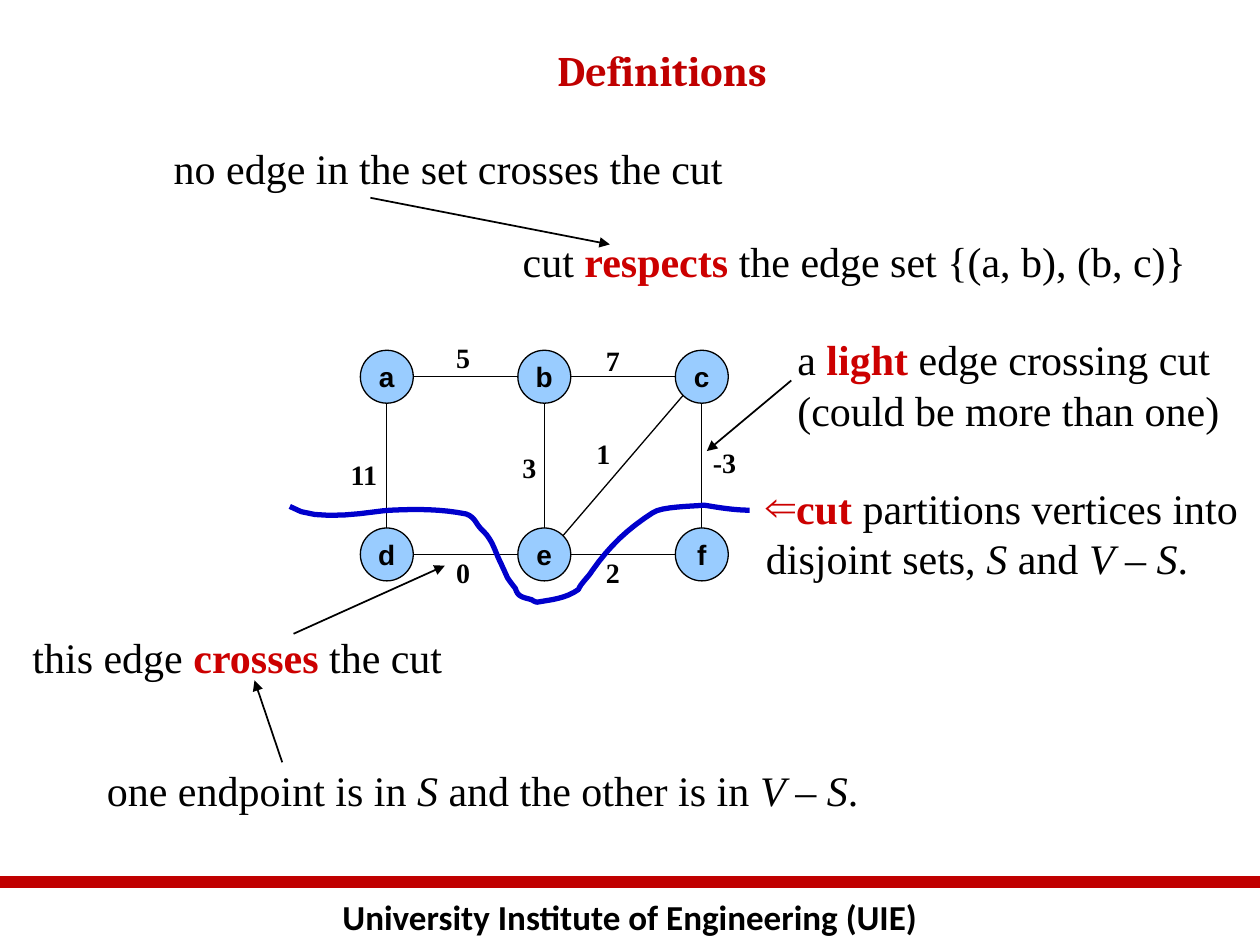
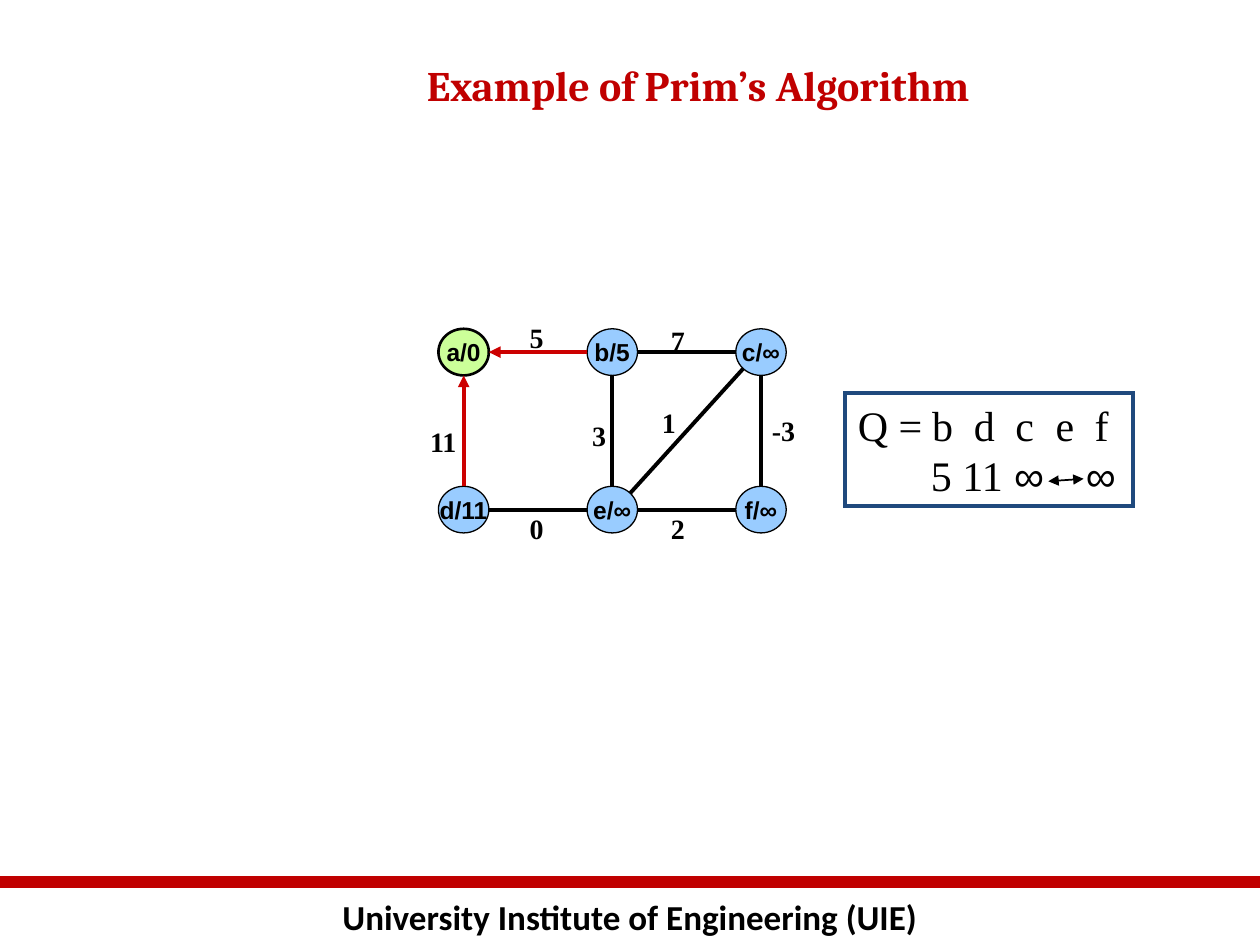
from itertools import chain
from math import hypot

from lxml.etree import SubElement
from pptx import Presentation
from pptx.dml.color import RGBColor
from pptx.enum.shapes import MSO_CONNECTOR as CONNECTOR, MSO_SHAPE as SHAPE
from pptx.enum.text import MSO_ANCHOR as ANCHOR, PP_ALIGN as ALIGN
from pptx.oxml.ns import qn
from pptx.util import Inches, Pt

COLORS = {
    "black": "000000", "brand": "C00000", "key": "CC0000", "node": "99CCFF",
    "root": "CCFF99", "cut": "0000CC", "queue": "1F497D",
}
FONTS = {
    "footer": {"name": "Calibri", "size": Pt(20), "bold": True},
    "title": {"name": "Cambria", "size": Pt(24), "bold": True},
    "body": {"name": "Times New Roman", "size": Pt(24)},
    "weight": {"name": "Times New Roman", "size": Pt(16), "bold": True},
    "node": {"name": "Arial", "size": Pt(16), "bold": True},
    "small node": {"name": "Arial", "size": Pt(14), "bold": True},
    "key": {"bold": True},
    "var": {"italic": True},
    "infinity": {"name": "Arial"},
}


def write(shape, lines, font, color="black", align=ALIGN.LEFT, wrap=False, anchor=ANCHOR.TOP):
    frame = shape.text_frame
    frame.word_wrap = wrap
    frame.vertical_anchor = anchor
    for index, line in enumerate(lines):
        paragraph = frame.add_paragraph() if index else frame.paragraphs[0]
        paragraph.alignment = align
        for part in line:
            text, accent = part if isinstance(part, tuple) else (part, None)
            run = paragraph.add_run()
            run.text = text
            for key, value in (FONTS[font] | FONTS.get(accent, {})).items():
                setattr(run.font, key, value)
            run.font.color.rgb = RGBColor.from_string(COLORS["key" if accent == "key" else color])


def draw_line(slide, start, end, width, color="black", arrows=()):
    line = slide.shapes.add_connector(CONNECTOR.STRAIGHT, *map(Inches, start + end))
    line.line.width = Pt(width)
    line.line.color.rgb = RGBColor.from_string(COLORS[color])
    for arrow in arrows:
        SubElement(line.line._get_or_add_ln(), qn(f"a:{arrow}"), type="triangle")
    SubElement(line.element.spPr, qn("a:effectLst"))
    return line


prs = Presentation()
prs.slide_width, prs.slide_height = Inches(10), Inches(7.5)

TITLES = [
    ("Definitions", (1.17, 0.3, 8.17, 0.78)),
    ("Example of Prim’s Algorithm", (1.29, 0.42, 8.5, 0.75)),
]
for heading, box in TITLES:
    slide = prs.slides.add_slide(prs.slide_layouts[5])
    title = slide.shapes.title
    title.left, title.top, title.width, title.height = map(Inches, box)
    write(title, [[heading]], "title", "brand", ALIGN.CENTER, True)
definitions, prim = prs.slides

footer = definitions.shapes.add_textbox(*map(Inches, (0, 7.06, 10, 0.44)))
write(footer, [["University Institute of Engineering (UIE)"]], "footer", align=ALIGN.CENTER, wrap=True)
band = draw_line(definitions, (0, 7), (10, 7), 7, "brand")
for number, part in enumerate((footer, band), 101):
    part.element.xpath(".//p:cNvPr")[0].set("id", str(number))
    prs.slide_master.shapes.element.append(part.element)

GRID = {"a": (0, 0), "b": (1, 0), "c": (2, 0), "d": (0, 1), "e": (1, 1), "f": (2, 1)}
EDGES = ["ab", "bc", "ad", "be", "cf", "de", "ef", "ec"]
WEIGHTS = [
    ("5", 0.53, -0.09, 0.31), ("11", -0.14, 0.57, 0.46), ("0", 0.53, 1.12, 0.31),
    ("3", 0.95, 0.53, 0.31), ("1", 1.42, 0.45, 0.31), ("7", 1.48, -0.07, 0.31),
    ("-3", 2.16, 0.5, 0.46), ("2", 1.48, 1.12, 0.31),
]
GRAPHS = [
    {"slide": definitions, "origin": (2.86, 2.78), "step": (1.25, 1.41), "size": (0.42, 0.42),
     "keys": {}, "font": "node", "width": 0.75, "tree": [], "root": None},
    {"slide": prim, "origin": (3.48, 2.61), "step": (1.18, 1.25), "size": (0.4, 0.37),
     "keys": {"a": "/0", "b": "/5", "c": "/∞", "d": "/11", "e": "/∞", "f": "/∞"},
     "font": "small node", "width": 2.25, "tree": ["ab", "ad"], "root": "a"},
]
for graph in GRAPHS:
    slide = graph["slide"]
    (left, top), (step_x, step_y), (width, height) = graph["origin"], graph["step"], graph["size"]
    for vertex, (column, row) in GRID.items():
        is_root = vertex == graph["root"]
        node = slide.shapes.add_shape(
            SHAPE.OVAL, *map(Inches, (left + column * step_x, top + row * step_y, width, height)))
        node.shadow.inherit = False
        node.fill.solid()
        node.fill.fore_color.rgb = RGBColor.from_string(COLORS["root" if is_root else "node"])
        node.line.color.rgb = RGBColor.from_string(COLORS["black"])
        node.line.width = Pt(1.5 if is_root else 0.75)
        write(node, [[vertex + graph["keys"].get(vertex, "")]], graph["font"],
              align=ALIGN.CENTER, anchor=ANCHOR.MIDDLE)
    for edge in EDGES:
        (col1, row1), (col2, row2) = GRID[edge[0]], GRID[edge[1]]
        across, down = col2 - col1, row2 - row1
        reach_x = width / 2 * across / hypot(across, down)
        reach_y = height / 2 * down / hypot(across, down)
        ends = [
            (left + width / 2 + col * step_x + side * reach_x,
             top + height / 2 + row * step_y + side * reach_y)
            for col, row, side in ((col1, row1, 1), (col2, row2, -1))
        ]
        in_tree = edge in graph["tree"]
        draw_line(slide, *ends, graph["width"], "key" if in_tree else "black",
                  ["headEnd"] if in_tree else [])
    for weight, column, row, label_width in WEIGHTS:
        label = slide.shapes.add_textbox(
            *map(Inches, (left + column * step_x, top + row * step_y, label_width, 0.37)))
        write(label, [[weight]], "weight")

CUT_CURVES = [
    [(2.51, 4.16), (2.99, 4.05), (3.1, 4.05)], [(3.31, 4.04), (3.5, 4.04), (3.7, 4.08)],
    [(3.78, 4.11), (3.77, 4.16), (3.84, 4.22)], [(3.91, 4.29), (3.93, 4.38), (3.97, 4.46)],
    [(3.99, 4.5), (4.01, 4.55), (4.03, 4.59)], [(4.05, 4.62), (4.09, 4.67), (4.09, 4.67)],
    [(4.11, 4.74), (4.15, 4.74), (4.22, 4.76)], [(4.23, 4.77), (4.26, 4.78), (4.26, 4.78)],
    [(4.38, 4.76), (4.49, 4.75), (4.59, 4.68)], [(4.61, 4.63), (4.67, 4.58), (4.7, 4.53)],
    [(4.84, 4.33), (4.98, 4.2), (5.18, 4.07)], [(5.25, 4.02), (5.49, 4.02), (5.59, 4.01)],
    [(5.71, 4.03), (5.83, 4.05), (5.95, 4.05)],
]
start = (2.3, 4.02)
outline = definitions.shapes.build_freeform(*map(Inches, start))
for curve in CUT_CURVES:
    points = []
    for t in (step / 8 for step in range(1, 9)):
        blend = ((1 - t) ** 3, 3 * t * (1 - t) ** 2, 3 * t ** 2 * (1 - t), t ** 3)
        points.append([
            Inches(sum(share * value for share, value in zip(blend, axis)))
            for axis in zip(start, *curve)
        ])
    outline.add_line_segments(points, close=False)
    start = curve[-1]
cut = outline.convert_to_shape()
cut.shadow.inherit = False
cut.fill.background()
cut.line.color.rgb = RGBColor.from_string(COLORS["cut"])
cut.line.width = Pt(3)

NOTES = [
    ((1.28, 1.08, 4.56, 0.5), [["no edge in the set crosses the cut"]]),
    ((4.05, 1.82, 5.47, 0.5), [["cut ", ("respects", "key"), " the edge set {(a, b), (b, c)}"]]),
    ((6.23, 2.6, 3.55, 0.9),
     [["a ", ("light", "key"), " edge crossing cut"], ["(could be more than one)"]]),
    ((0.16, 4.96, 3.46, 0.5), [["this edge ", ("crosses", "key"), " the cut"]]),
    ((0.75, 6.02, 6.17, 0.5),
     [["one endpoint is in ", ("S", "var"), " and the other is in ", ("V – S", "var"), "."]]),
    ((5.98, 3.78, 3.98, 0.9),
     [[("cut", "key"), " partitions vertices into"],
      ["disjoint sets, ", ("S", "var"), " and ", ("V", "var"), " – ", ("S", "var"), "."]]),
]
for box, lines in NOTES:
    note = definitions.shapes.add_textbox(*map(Inches, box))
    write(note, lines, "body")

bullet = note.text_frame.paragraphs[0]._p.get_or_add_pPr()
bullet.set("marL", "0")
bullet.set("indent", "0")
SubElement(SubElement(bullet, qn("a:buClr")), qn("a:srgbClr"), val=COLORS["key"])
SubElement(bullet, qn("a:buFont"), typeface="Times New Roman")
SubElement(bullet, qn("a:buChar"), char="⇐")

POINTERS = [
    ((2.94, 1.57), (4.84, 1.94)), ((6.28, 3.02), (5.61, 3.58)),
    ((2.33, 5.03), (3.53, 4.49)), ((2.24, 6.05), (2.02, 5.4)),
]
for tail, tip in POINTERS:
    draw_line(definitions, tail, tip, 1, arrows=["tailEnd"])

queue = prim.shapes.add_shape(SHAPE.RECTANGLE, *map(Inches, (6.71, 3.12, 2.28, 0.9)))
queue.shadow.inherit = False
queue.fill.background()
queue.line.color.rgb = RGBColor.from_string(COLORS["queue"])
queue.line.width = Pt(2.25)
SubElement(queue.line._get_or_add_ln(), qn("a:miter"), lim="800000")
QUEUE_STOPS = [(0.59, 0.92, 1.25, 1.57, 1.88), (0.58, 0.83, 1.24, 1.81)]
write(queue, [
    ["Q =", *chain.from_iterable(("\t", vertex) for vertex in "bdcef")],
    ["\t5\t11\t", ("∞\t∞", "infinity")],
], "body", wrap=True)
for paragraph, stops in zip(queue.text_frame.paragraphs, QUEUE_STOPS):
    tabs = SubElement(paragraph._p.get_or_add_pPr(), qn("a:tabLst"))
    for stop in stops:
        SubElement(tabs, qn("a:tab"), pos=str(Inches(stop)), algn="l")
draw_line(prim, (8.32, 3.82), (8.6, 3.8), 1, arrows=["headEnd", "tailEnd"])

prs.save("out.pptx")
